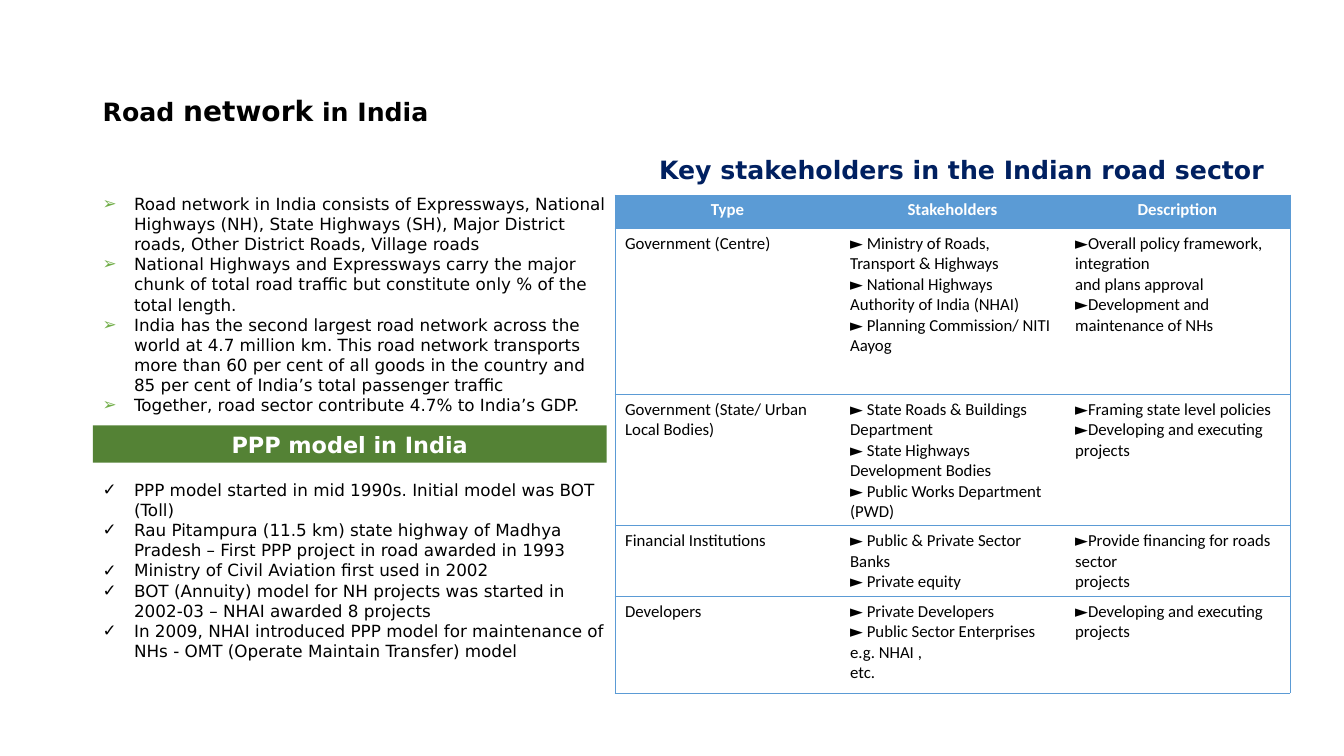
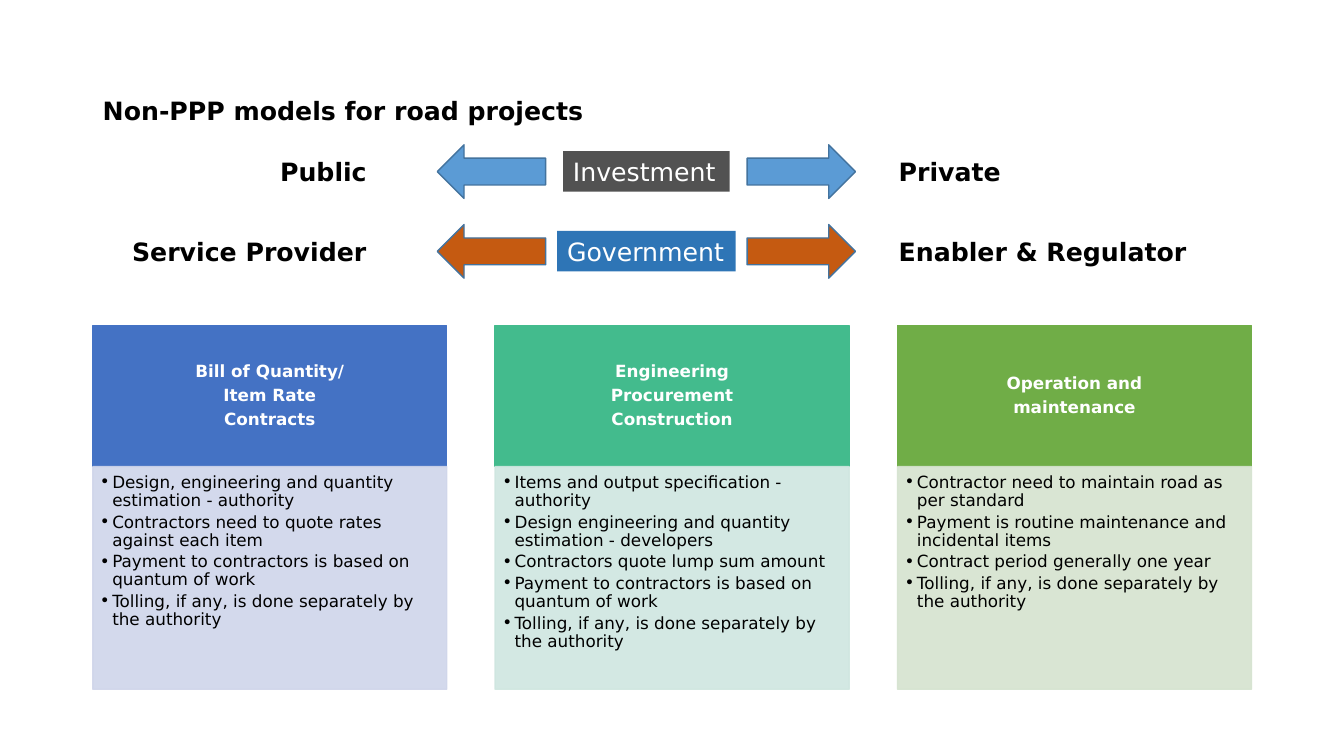
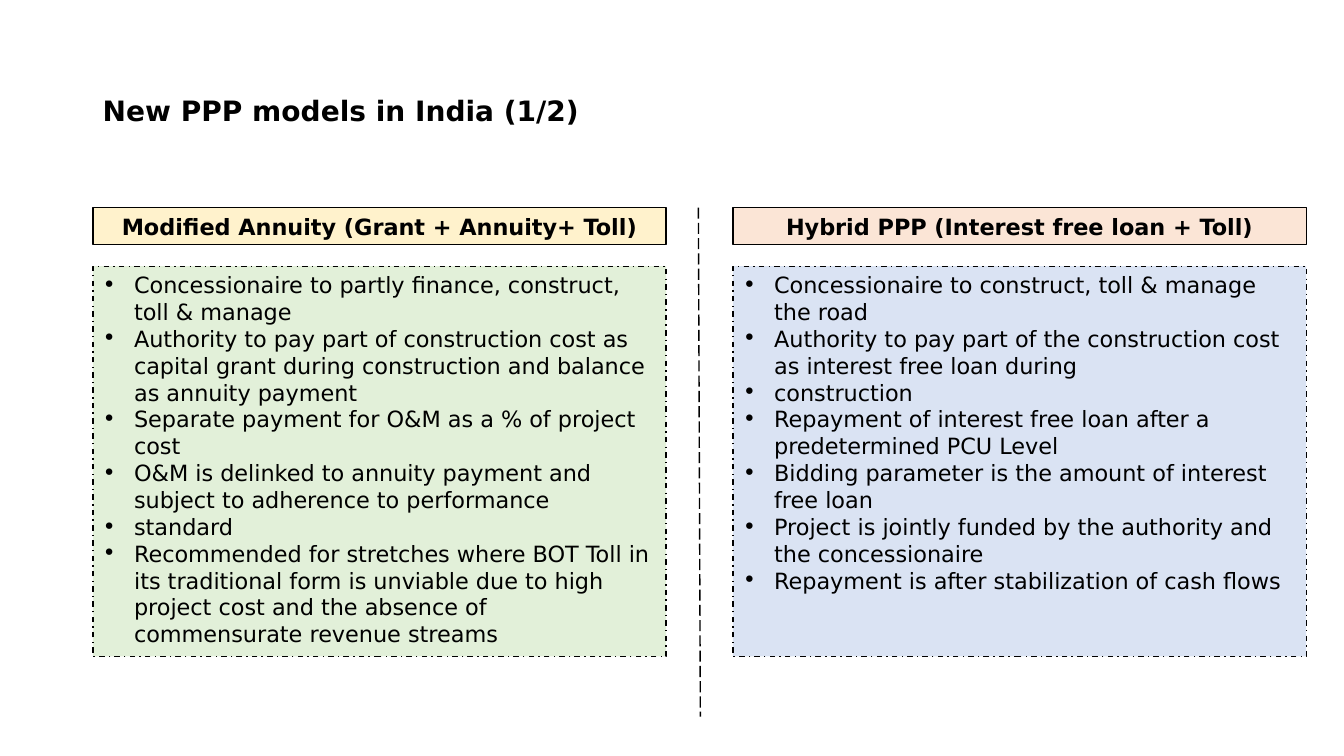
from lxml import etree
from pptx import Presentation
from pptx.dml.color import RGBColor
from pptx.enum import dml, shapes, text
from pptx.oxml import ns
from pptx.util import Cm, Pt

# Shared style
FONT = "DejaVu Sans"
BLACK, WHITE = "000000", "FFFFFF"
BLUE, GREEN = "5B9BD5", "70AD47"
MARGIN = 2.34
INDENT = 0.79
CENTER, LEFT = text.PP_ALIGN.CENTER, text.PP_ALIGN.LEFT
MIDDLE, TOP = text.MSO_ANCHOR.MIDDLE, text.MSO_ANCHOR.TOP
RECTANGLE = shapes.MSO_SHAPE.RECTANGLE


def rgb(value):
    return RGBColor.from_string(value)


def add_xml(parent, tag, **attributes):
    return etree.SubElement(parent, ns.qn(tag), attributes)


# Text
def add_bullet(paragraph, mark, color, indent):
    props = paragraph._p.get_or_add_pPr()
    props.set("marL", str(int(Cm(indent))))
    props.set("indent", str(-int(Cm(indent))))
    if color:
        add_xml(add_xml(props, "a:buClr"), "a:srgbClr", val=color)
    add_xml(props, "a:buFont", typeface=FONT)
    add_xml(props, "a:buChar", char=mark)


def write(frame, lines, size, color=BLACK, bold=False, align=LEFT, font=FONT,
          bullet=None, bullet_color=None, indent=INDENT, spacing=None, after=None):
    for number, line in enumerate(lines):
        paragraph = frame.add_paragraph() if number else frame.paragraphs[0]
        paragraph.text = line
        paragraph.alignment = align
        if spacing:
            paragraph.line_spacing = spacing
        if after:
            paragraph.space_after = Pt(after)
        if bullet:
            add_bullet(paragraph, bullet, bullet_color, indent)
        paragraph.font.name = font
        paragraph.font.size = Pt(size)
        paragraph.font.bold = bold
        paragraph.font.color.rgb = rgb(color)


def text_box(slide, x, y, w, h, lines, size, wrap=True, anchor=TOP, **style):
    frame = slide.shapes.add_textbox(Cm(x), Cm(y), Cm(w), Cm(h)).text_frame
    frame.word_wrap = wrap
    frame.vertical_anchor = anchor
    write(frame, lines, size, **style)
    return frame


def title(slide, wording, size=18):
    frame = text_box(slide, MARGIN, 1, 29.21, 3.68, [wording], size,
                     anchor=MIDDLE, bold=True, spacing=0.9)
    return frame.paragraphs[0]


# Shapes
def block(slide, kind, x, y, w, h, fill, line=None, dash=None):
    shape = slide.shapes.add_shape(kind, Cm(x), Cm(y), Cm(w), Cm(h))
    shape.shadow.inherit = False
    shape.fill.solid()
    shape.fill.fore_color.rgb = rgb(fill)
    if line:
        shape.line.color.rgb = rgb(line)
        shape.line.width = Pt(1)
        if dash:
            shape.line.dash_style = dash
    else:
        shape.line.fill.background()
    return shape


def text_block(slide, x, y, w, h, fill, lines, size, line=None, dash=None,
               anchor=MIDDLE, wrap=True, **style):
    shape = block(slide, RECTANGLE, x, y, w, h, fill, line, dash)
    shape.text_frame.word_wrap = wrap
    shape.text_frame.vertical_anchor = anchor
    write(shape.text_frame, lines, size, **style)
    return shape


def make_translucent(shape, percent):
    for color in shape._element.spPr.iter(ns.qn("a:srgbClr")):
        add_xml(color, "a:alpha", val=str(percent * 1000))


def dashed_line(slide, x1, y1, x2, y2):
    line = slide.shapes.add_connector(
        shapes.MSO_CONNECTOR.STRAIGHT, Cm(x1), Cm(y1), Cm(x2), Cm(y2))
    line.line.color.rgb = rgb(BLACK)
    line.line.width = Pt(1)
    line.line.dash_style = dml.MSO_LINE.LONG_DASH
    add_xml(line._element.spPr, "a:effectLst")


# Table
def set_borders(cell, first, last):
    props = cell._tc.get_or_add_tcPr()
    visible = {"a:lnL": first, "a:lnR": last, "a:lnT": True, "a:lnB": True}
    for tag, shown in visible.items():
        border = add_xml(props, tag, w=str(int(Pt(0.5))))
        if shown:
            add_xml(add_xml(border, "a:solidFill"), "a:srgbClr", val=BLUE)
        else:
            add_xml(border, "a:noFill")


def stakeholder_table(slide, x, y, column_width, heights, rows):
    columns = len(rows[0])
    table = slide.shapes.add_table(
        len(rows), columns, Cm(x), Cm(y),
        Cm(column_width * columns), Cm(sum(heights))).table
    table.horz_banding = False
    for column in table.columns:
        column.width = Cm(column_width)
    for r, (row, height) in enumerate(zip(rows, heights)):
        table.rows[r].height = Cm(height)
        header = r == 0
        for c, lines in enumerate(row):
            cell = table.cell(r, c)
            set_borders(cell, c == 0, c == columns - 1)
            cell.fill.solid()
            cell.fill.fore_color.rgb = rgb(BLUE if header else WHITE)
            write(cell.text_frame, lines, 12, WHITE if header else BLACK, header,
                  CENTER if header else LEFT, font="Calibri")


# Slide 1
NETWORK_FACTS = [
    "Road network in India consists of Expressways, National Highways (NH), "
    "State Highways (SH), Major District roads, Other District Roads, Village roads",
    "National Highways and Expressways carry the major chunk of total road traffic "
    "but constitute only % of the total length.",
    "India has the second largest road network across the world at 4.7 million km. "
    "This road network transports more than 60 per cent of all goods in the country "
    "and 85 per cent of India’s total passenger traffic",
    "Together, road sector contribute 4.7% to India’s GDP.",
]
PPP_HISTORY = [
    "PPP model started in mid 1990s. Initial model was BOT (Toll)",
    "Rau Pitampura (11.5 km) state highway of Madhya Pradesh – First PPP project "
    "in road awarded in 1993",
    "Ministry of Civil Aviation first used in 2002",
    "BOT (Annuity) model for NH projects was started in 2002-03 – NHAI awarded 8 projects",
    "In 2009, NHAI introduced PPP model for maintenance of NHs - OMT "
    "(Operate Maintain Transfer) model",
]
STAKEHOLDERS = [
    (["Type"], ["Stakeholders"], ["Description"]),
    (["Government (Centre)"],
     ["► Ministry of Roads, Transport & Highways",
      "► National Highways Authority of India (NHAI)",
      "► Planning Commission/ NITI Aayog"],
     ["►Overall policy framework, integration", "and plans approval",
      "►Development and maintenance of NHs"]),
    (["Government (State/ Urban Local Bodies)"],
     ["► State Roads & Buildings Department",
      "► State Highways Development Bodies",
      "► Public Works Department (PWD)"],
     ["►Framing state level policies", "►Developing and executing projects"]),
    (["Financial Institutions"],
     ["► Public & Private Sector Banks", "► Private equity"],
     ["►Provide financing for roads sector", "projects"]),
    (["Developers"],
     ["► Private Developers", "► Public Sector Enterprises e.g. NHAI ,", "etc."],
     ["►Developing and executing projects"]),
]


def road_network(slide):
    heading = title(slide, "Road ")
    network = heading.add_run()
    network.text = "network"
    network.font.size = Pt(20)
    heading.add_run().text = " in India"

    text_box(slide, MARGIN, 4.75, 13.18, 5.89, NETWORK_FACTS, 12,
             bullet="➢", bullet_color=GREEN)
    stakeholder_table(slide, 15.5, 4.91, 5.67, [0.84, 4.19, 3.3, 1.55, 2.44],
                      STAKEHOLDERS)
    text_block(slide, MARGIN, 10.72, 12.95, 0.94, "548235", ["PPP model in India"],
               16, color=WHITE, bold=True, align=CENTER)
    text_box(slide, MARGIN, 11.96, 13.18, 4.88, PPP_HISTORY, 12, bullet="✓")
    text_box(slide, 16.36, 3.76, 15.93, 1.02,
             ["Key stakeholders in the Indian road sector"], 18,
             wrap=False, color="002060", bold=True)


# Slide 2
# top, role, role width, role fill, arrow fill, left label, width, right label, width
SPECTRA = [
    (3.81, "Investment", 4.2, "525252", BLUE, "Public", 2.72, "Private", 3.1),
    (5.82, "Government", 4.5, "2E75B6", "C55A11",
     "Service Provider", 6.45, "Enabler & Regulator", 7.77),
]
QUANTUM = "Payment to contractors is based on quantum of work"
TOLLING = "Tolling, if any, is done separately by the authority"
CONTRACTS = [
    ("4472C4", "CFD5EA", ["Bill of Quantity/", "Item Rate", "Contracts"],
     ["Design, engineering and quantity estimation - authority",
      "Contractors need to quote rates against each item", QUANTUM, TOLLING]),
    ("43BB8D", "CFE6E0", ["Engineering", "Procurement", "Construction"],
     ["Items and output specification - authority",
      "Design engineering and quantity estimation - developers",
      "Contractors quote lump sum amount", QUANTUM, TOLLING]),
    (GREEN, "D5E3CF", ["Operation and", "maintenance"],
     ["Contractor need to maintain road as per standard",
      "Payment is routine maintenance and incidental items",
      "Contract period generally one year", TOLLING]),
]


def contract_card(slide, x, head_fill, body_fill, heading, points):
    width = 8.92
    text_block(slide, x, 8.2, width, 3.56, head_fill, heading, 12, line=head_fill,
               color=WHITE, bold=True, align=CENTER, spacing=0.9, after=4.5)
    body = text_block(slide, x, 11.76, width, 5.61, body_fill, points, 12,
                      line=body_fill, anchor=TOP, bullet="•", indent=0.31,
                      spacing=0.9, after=2.5)
    make_translucent(body, 90)
    frame = body.text_frame
    frame.margin_left = frame.margin_top = Cm(0.18)
    frame.margin_right = Cm(0.24)
    frame.margin_bottom = Cm(0.25)


def spectrum(slide, top, role, role_width, role_fill, arrow_fill,
             left_label, left_width, right_label, right_width):
    height, center, left_edge, right_edge = 1.02, 16.29, 9.53, 22.4
    text_block(slide, center - role_width / 2, top, role_width, height, role_fill,
               [role], 18, wrap=False, color=WHITE)
    for kind, x in ((shapes.MSO_SHAPE.RIGHT_ARROW, 18.83),
                    (shapes.MSO_SHAPE.LEFT_ARROW, 11.02)):
        block(slide, kind, x, top - 0.16, 2.73, 1.35, arrow_fill, line="43739E")
    for label, x, width in ((right_label, right_edge, right_width),
                            (left_label, left_edge - left_width, left_width)):
        text_box(slide, x, top, width, height, [label], 18, wrap=False, bold=True)


def non_ppp_models(slide):
    title(slide, "Non-PPP models for road projects")
    for number, contract in enumerate(CONTRACTS):
        contract_card(slide, MARGIN + number * 10.14, *contract)
    for row in SPECTRA:
        spectrum(slide, *row)


# Slide 3
NEW_MODELS = [
    ("FFF2CC", "E2F0D9", "Modified Annuity (Grant + Annuity+ Toll)",
     ["Concessionaire to partly finance, construct, toll & manage",
      "Authority to pay part of construction cost as capital grant during "
      "construction and balance as annuity payment",
      "Separate payment for O&M as a % of project cost",
      "O&M is delinked to annuity payment and subject to adherence to performance",
      "standard",
      "Recommended for stretches where BOT Toll in its traditional form is unviable "
      "due to high project cost and the absence of commensurate revenue streams"]),
    ("FBE5D6", "DAE3F3", "Hybrid PPP (Interest free loan + Toll)",
     ["Concessionaire to construct, toll & manage the road",
      "Authority to pay part of the construction cost as interest free loan during",
      "construction",
      "Repayment of interest free loan after a predetermined PCU Level",
      "Bidding parameter is the amount of interest free loan",
      "Project is jointly funded by the authority and the concessionaire",
      "Repayment is after stabilization of cash flows"]),
]


def new_ppp_models(slide):
    title(slide, "New PPP models in India (1/2)", 20)
    top, width = 5.23, 14.45
    for number, (head_fill, body_fill, heading, points) in enumerate(NEW_MODELS):
        x = MARGIN + number * 16.13
        text_block(slide, x, top, width, 0.94, head_fill, [heading], 16,
                   line=BLACK, bold=True, align=CENTER)
        text_block(slide, x, 6.71, width, 9.83, body_fill, points, 16, line=BLACK,
                   dash=dml.MSO_LINE.DASH_DOT, anchor=TOP, bullet="•")
    dashed_line(slide, 17.6, top, 17.65, 18.06)


def main():
    deck = Presentation()
    deck.slide_width, deck.slide_height = Cm(33.87), Cm(19.05)
    blank = deck.slide_layouts[6]
    for build in (road_network, non_ppp_models, new_ppp_models):
        build(deck.slides.add_slide(blank))
    deck.save("out.pptx")


if __name__ == "__main__":
    main()
